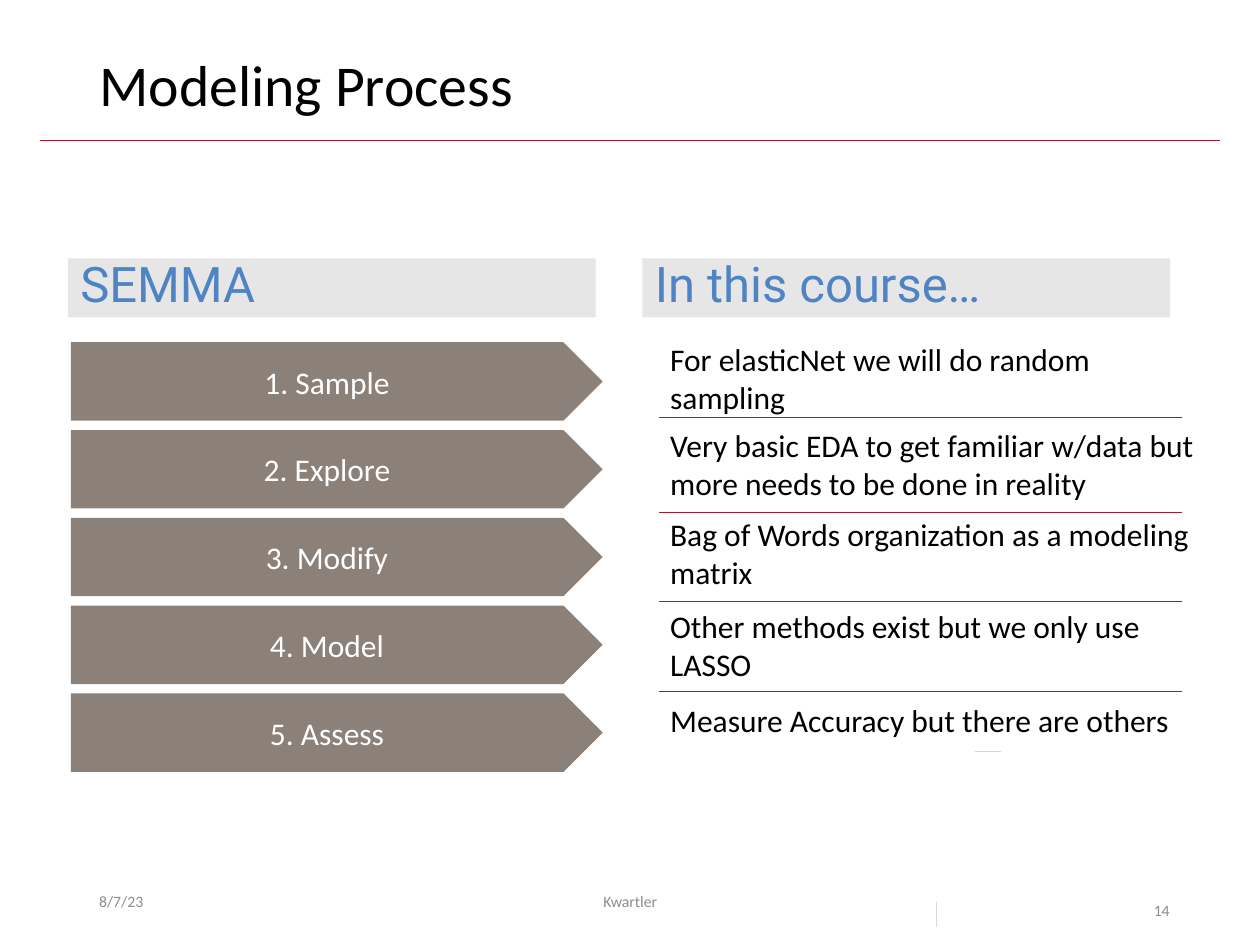
from dataclasses import dataclass

from lxml.etree import SubElement
from pptx import Presentation
from pptx.dml.color import RGBColor
from pptx.enum.shapes import MSO_CONNECTOR as CONN, MSO_SHAPE as SHAPE
from pptx.enum.text import MSO_ANCHOR as ANCHOR, PP_ALIGN as ALIGN
from pptx.oxml.ns import qn
from pptx.util import Cm, Pt

BLACK = RGBColor(0x00, 0x00, 0x00)
WHITE = RGBColor(0xFF, 0xFF, 0xFF)
CRIMSON = RGBColor(0xA5, 0x1C, 0x30)
TAUPE = RGBColor(0x8C, 0x81, 0x79)
GREY = RGBColor(0x8C, 0x8C, 0x8C)
PALE = RGBColor(0xE7, 0xE6, 0xE6)
TICK = RGBColor(0xD9, 0xD9, 0xD9)
BLUE = RGBColor(0x4E, 0x84, 0xC4)

ARROW_TOP, ARROW_PITCH = 6.9, 1.77
NOTE_LEFT = 13.26


@dataclass
class Box:
    left: float
    top: float
    width: float
    height: float

    def lengths(self) -> tuple:
        return Cm(self.left), Cm(self.top), Cm(self.width), Cm(self.height)


@dataclass
class Step:
    name: str
    note: str
    note_top: float
    note_width: float
    note_height: float = 1.8


@dataclass
class Rule:
    x1: float
    y1: float
    x2: float
    y2: float
    color: RGBColor = CRIMSON


STEPS = [
    Step("Sample", "For elasticNet we will do random sampling", 6.73, 10.62),
    Step("Explore", "Very basic EDA to get familiar w/data but more needs to be "
         "done in reality", 8.46, 12.14),
    Step("Modify", "Bag of Words organization as a modeling matrix", 10.26, 11.56),
    Step("Model", "Other methods exist but we only use LASSO", 12.12, 10.62),
    Step("Assess", "Measure Accuracy but there are others", 14.0, 10.62, 1.02),
]
RULES = [
    Rule(0.81, 2.84, 24.59, 2.84),
    *[Rule(13.28, y, 23.83, y) for y in (8.41, 10.34, 12.12, 13.94)],
    Rule(18.87, 18.19, 18.87, 18.69, TICK),
    Rule(19.66, 15.14, 20.17, 15.14, TICK),
]


def write(sp, text: str, size: float, color: RGBColor, font: str = "Calibri",
          anchor=ANCHOR.TOP, **paragraph_format) -> None:
    tf = sp.text_frame
    tf.word_wrap = True
    tf.vertical_anchor = anchor
    p = tf.paragraphs[0]
    for name, value in {"alignment": ALIGN.LEFT, **paragraph_format}.items():
        setattr(p, name, value)
    r = p.add_run()
    r.text = text
    for name, value in {"name": font, "size": Pt(size)}.items():
        setattr(r.font, name, value)
    r.font.color.rgb = color


def add_text(s, box: Box, text: str, size: float, color: RGBColor, **fmt) -> None:
    write(s.shapes.add_textbox(*box.lengths()), text, size, color, **fmt)


def add_block(s, kind, box: Box, fill: RGBColor, text: str, size: float,
              color: RGBColor, **fmt) -> None:
    sp = s.shapes.add_shape(kind, *box.lengths())
    sp.shadow.inherit = False
    sp.fill.solid()
    sp.fill.fore_color.rgb = fill
    sp.line.fill.background()
    write(sp, text, size, color, **fmt)


def add_rule(s, rule: Rule) -> None:
    line = s.shapes.add_connector(CONN.STRAIGHT, Cm(rule.x1), Cm(rule.y1),
                                  Cm(rule.x2), Cm(rule.y2))
    line.line.color.rgb = rule.color
    line.line.width = Pt(0.5)
    SubElement(line._element.spPr, qn("a:effectLst"))


def main() -> None:
    prs = Presentation()
    prs.slide_width, prs.slide_height = Cm(25.4), Cm(19.05)
    s = prs.slides.add_slide(prs.slide_layouts[5])

    # Title
    title = s.shapes.title
    title.left, title.top, title.width, title.height = Box(1.75, 1.02, 21.9, 1.65).lengths()
    write(title, "Modeling Process", 33, BLACK, line_spacing=0.9)

    # Column headings
    for left, heading in ((1.37, "SEMMA"), (12.95, "In this course…")):
        add_block(s, SHAPE.RECTANGLE, Box(left, 5.21, 10.64, 1.19), PALE, heading, 28,
                  BLUE, font="Roboto", line_spacing=0.8, space_before=Pt(7.5))

    # Steps and their notes
    for i, step in enumerate(STEPS):
        add_block(s, SHAPE.PENTAGON, Box(1.43, ARROW_TOP + i * ARROW_PITCH, 10.72, 1.58),
                  TAUPE, f"{i + 1}. {step.name}", 18, WHITE,
                  anchor=ANCHOR.MIDDLE, alignment=ALIGN.CENTER)
        add_text(s, Box(NOTE_LEFT, step.note_top, step.note_width, step.note_height),
                 step.note, 18, BLACK)

    # Title rule, note dividers and small ticks
    for rule in RULES:
        add_rule(s, rule)

    # Footer
    for left, width, text, fmt in (
        (1.75, 5.72, "8/7/23", {"anchor": ANCHOR.MIDDLE}),
        (8.41, 8.59, "Kwartler", {"anchor": ANCHOR.MIDDLE, "alignment": ALIGN.CENTER}),
        (23.01, 2.39, "14", {"line_spacing": 2.0}),
    ):
        add_text(s, Box(left, 17.65, width, 1.02), text, 9, GREY, **fmt)

    prs.save("out.pptx")


if __name__ == "__main__":
    main()
